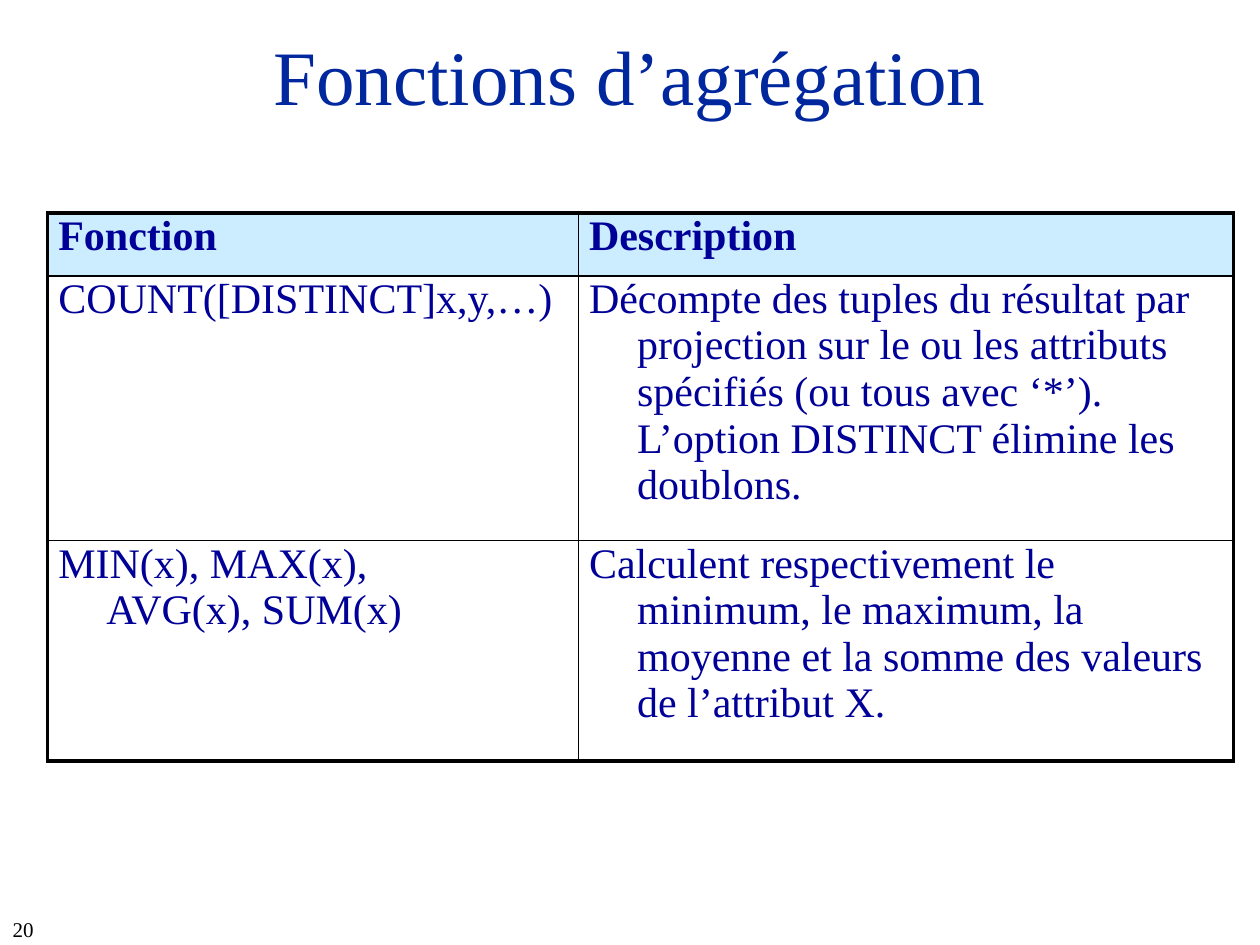
from lxml import etree
from pptx import Presentation
from pptx.dml.color import RGBColor
from pptx.enum.text import MSO_ANCHOR, MSO_AUTO_SIZE, PP_ALIGN
from pptx.oxml.ns import qn
from pptx.util import Pt

TOP = MSO_ANCHOR.TOP
NO_FIT = MSO_AUTO_SIZE.NONE
LEFT, CENTER = PP_ALIGN.LEFT, PP_ALIGN.CENTER

FONT = "Times New Roman"
TITLE_BLUE, TEXT_BLUE, HEADER_FILL, BLACK = "00279E", "000098", "CCECFF", "000000"
OUTER, INNER = 2.25, 1
PAD, HANG = 6, 27.5


def color(value):
    return RGBColor.from_string(value)


class Deck:
    def __init__(self, width, height):
        self.prs = Presentation()
        self.prs.slide_width, self.prs.slide_height = Pt(width), Pt(height)
        self.s = self.prs.slides.add_slide(self.prs.slide_layouts[5])

    def add_text(self, p, text, size, hue, bold=False, **fmt):
        for name, value in fmt.items():
            setattr(p, name, value)
        for i, line in enumerate(text.split("\n")):
            if i:
                p.add_line_break()
            r = p.add_run()
            r.text = line
            for name, value in dict(name=FONT, size=Pt(size), bold=bold).items():
                setattr(r.font, name, value)
            r.font.color.rgb = color(hue)

    def frame(self, sp, box, inset_top=0):
        sp.left, sp.top, sp.width, sp.height = map(Pt, box)
        tf = sp.text_frame
        fmt = dict(margin_left=0, margin_right=0, margin_top=Pt(inset_top), margin_bottom=0,
                   word_wrap=True, auto_size=NO_FIT, vertical_anchor=TOP)
        for name, value in fmt.items():
            setattr(tf, name, value)
        return tf.paragraphs[0]

    def title(self, text, box):
        p = self.frame(self.s.shapes.title, box, 5)
        self.add_text(p, text, 44, TITLE_BLUE, alignment=CENTER)

    def label(self, text, box):
        p = self.frame(self.s.shapes.add_textbox(*map(Pt, box)), box)
        self.add_text(p, text, 12, BLACK, alignment=LEFT)

    def border(self, cell, sides):
        pr = cell._tc.get_or_add_tcPr()
        for i, (side, width) in enumerate(sides.items()):
            ln = etree.Element(qn("a:ln" + side), w=str(Pt(width)))
            fill = etree.SubElement(ln, qn("a:solidFill"))
            etree.SubElement(fill, qn("a:srgbClr"), val=BLACK)
            pr.insert(i, ln)

    def table(self, rows, left, top, widths, heights):
        n_rows, n_cols = len(heights), len(widths)
        grid = self.s.shapes.add_table(n_rows, n_cols, Pt(left), Pt(top),
                                       Pt(sum(widths)), Pt(sum(heights))).table
        grid.first_row = grid.horz_banding = False
        for col, width in zip(grid.columns, widths):
            col.width = Pt(width)
        for row, height in zip(grid.rows, heights):
            row.height = Pt(height)
        for i, row in enumerate(rows):
            for j, paragraphs in enumerate(row):
                cell = grid.cell(i, j)
                self.cell(cell, paragraphs, header=i == 0)
                self.border(cell, dict(L=INNER if j else OUTER,
                                       R=INNER if j < n_cols - 1 else OUTER,
                                       T=INNER if i else OUTER,
                                       B=INNER if i < n_rows - 1 else OUTER))

    def cell(self, cell, paragraphs, header):
        for side in ("left", "right", "top", "bottom"):
            setattr(cell, "margin_" + side, 0)
        cell.vertical_anchor = TOP
        if header:
            cell.fill.solid()
            cell.fill.fore_color.rgb = color(HEADER_FILL)
        else:
            cell.fill.background()
        tf = cell.text_frame
        for i, text in enumerate(paragraphs):
            p = tf.add_paragraph() if i else tf.paragraphs[0]
            self.add_text(p, text, 24, TEXT_BLUE, header, alignment=LEFT,
                          line_spacing=Pt(26.6))
            # The first paragraph hangs; the following ones align with its wrapped lines
            pr = p._p.get_or_add_pPr()
            pr.set("marL", str(Pt(PAD + HANG)))
            pr.set("indent", str(0 if i else -Pt(HANG)))


deck = Deck(720, 540)

# Title
deck.title("Fonctions d’agrégation", (135, 11.5, 450, 46))

# Table of aggregate functions
deck.table([
    [["Fonction"], ["Description"]],
    [["COUNT([DISTINCT]x,y,…)"],
     ["Décompte des tuples du résultat par projection sur le ou les attributs "
      "spécifiés (ou tous avec ‘*’).",
      "L’option DISTINCT élimine les doublons."]],
    [["MIN(x), MAX(x),\nAVG(x), SUM(x)"],
     ["Calculent respectivement le minimum, le maximum, la moyenne et la somme "
      "des valeurs de l’attribut X."]],
], 27.3, 121.7, [303.3, 374.4], [36, 151.2, 126])

# Page number
deck.label("20", (7.2, 523.5, 16, 14))

deck.prs.save("out.pptx")
